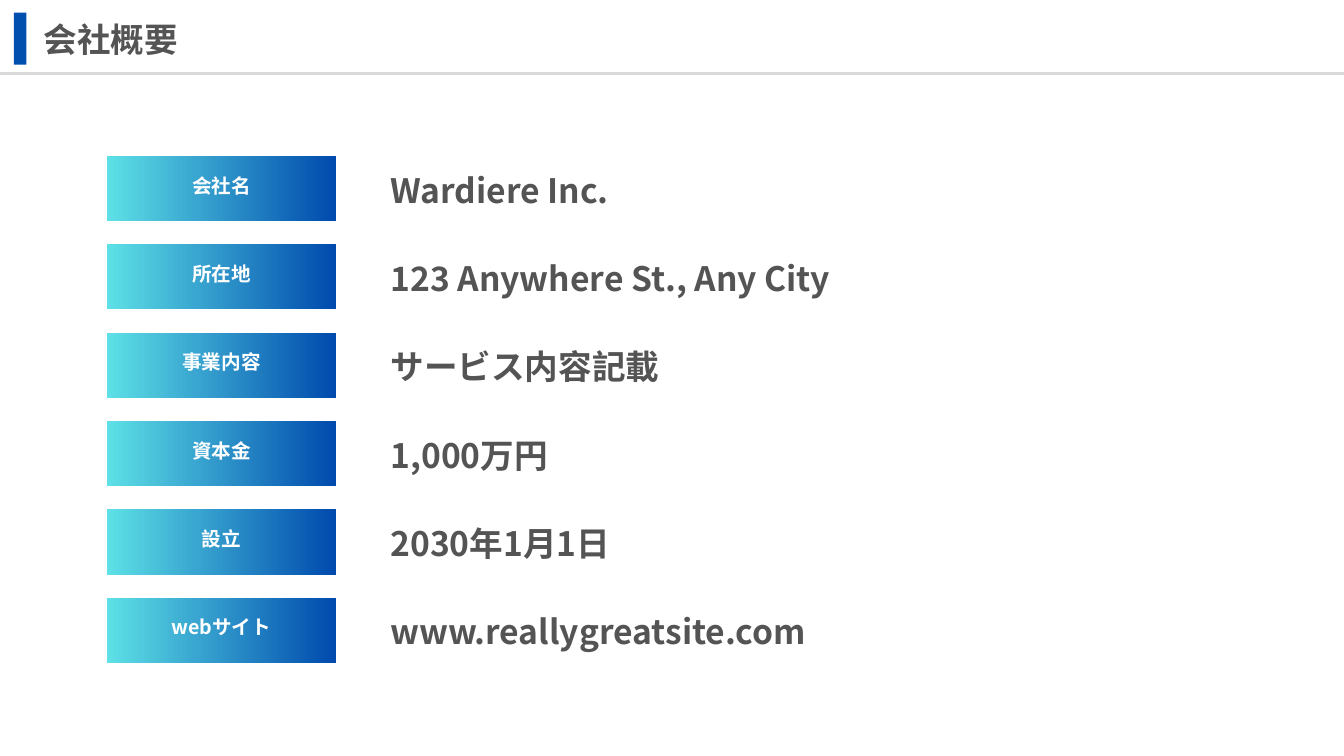
from dataclasses import dataclass

import pptx
import pptx.dml.color
import pptx.enum.shapes
import pptx.enum.text
import pptx.oxml
import pptx.oxml.ns
import pptx.util
from pptx.util import Cm

RGBColor = pptx.dml.color.RGBColor
PP_ALIGN = pptx.enum.text.PP_ALIGN
MSO_ANCHOR = pptx.enum.text.MSO_ANCHOR

BLUE = RGBColor(0x00, 0x4E, 0xAE)
DEEP_BLUE = RGBColor(0x00, 0x4A, 0xAD)
CYAN = RGBColor(0x5D, 0xE0, 0xE6)
GREY = RGBColor(0x54, 0x54, 0x54)
RULE_GREY = RGBColor(0xD9, 0xD9, 0xD9)
WHITE = RGBColor(0xFF, 0xFF, 0xFF)

FONT = "Noto Sans CJK JP"
LINE_RATIO = 1.4
SLIDE_W = 50.8
ROW_TOP, ROW_PITCH = 5.89, 3.34
LABEL_LEFT, LABEL_W, LABEL_H = 4.04, 8.66, 2.47
LABEL_RISE = 0.4
VALUE_LEFT, VALUE_DROP, VALUE_W = 14.76, 0.26, 32
HEADING_H = 1.73


@dataclass(frozen=True)
class Box:
    left: float
    top: float
    width: float
    height: float

    def emu(self) -> tuple:
        return Cm(self.left), Cm(self.top), Cm(self.width), Cm(self.height)


@dataclass(frozen=True)
class TextStyle:
    size: int
    color: RGBColor
    align: PP_ALIGN
    anchor: MSO_ANCHOR
    inset: float


@dataclass(frozen=True)
class Row:
    label: str
    value: str


HEADING = TextStyle(36, GREY, PP_ALIGN.LEFT, MSO_ANCHOR.TOP, 0)
LABEL = TextStyle(21, WHITE, PP_ALIGN.CENTER, MSO_ANCHOR.MIDDLE, 0.15)

ROWS = [
    Row("会社名", "Wardiere Inc."),
    Row("所在地", "123 Anywhere St., Any City"),
    Row("事業内容", "サービス内容記載"),
    Row("資本金", "1,000万円"),
    Row("設立", "2030年1月1日"),
    Row("webサイト", "www.reallygreatsite.com"),
]


def add_text(slide, box: Box, text: str, style: TextStyle) -> None:
    tf = slide.shapes.add_textbox(*box.emu()).text_frame
    tf.word_wrap = True
    tf.vertical_anchor = style.anchor
    tf.margin_left = tf.margin_right = Cm(style.inset)
    tf.margin_top = tf.margin_bottom = Cm(style.inset)
    tf.text = text
    p = tf.paragraphs[0]
    p.alignment = style.align
    p.line_spacing = pptx.util.Pt(style.size * LINE_RATIO)
    r = p.runs[0]
    r.font.name = FONT
    r.font.size = pptx.util.Pt(style.size)
    r.font.bold = True
    r.font.color.rgb = style.color
    ea = pptx.oxml.ns.qn("a:ea")
    r.font._element.get_or_add_latin().addnext(
        r.font._element.makeelement(ea, {"typeface": FONT})
    )


def add_bar(slide, box: Box, colors: list[RGBColor]) -> None:
    rectangle = pptx.enum.shapes.MSO_SHAPE.RECTANGLE
    sp = slide.shapes.add_shape(rectangle, *box.emu())
    sp.shadow.inherit = False
    sp.line.fill.background()
    if len(colors) == 1:
        sp.fill.solid()
        sp.fill.fore_color.rgb = colors[0]
        return
    sp.fill.gradient()
    sp.fill.gradient_angle = 0
    for stop, color in zip(sp.fill.gradient_stops, colors):
        stop.color.rgb = color


def add_rule(slide, top: float) -> None:
    straight = pptx.enum.shapes.MSO_CONNECTOR.STRAIGHT
    line = slide.shapes.add_connector(straight, 0, Cm(top), Cm(SLIDE_W), Cm(top))
    line.line.color.rgb = RULE_GREY
    line.line.width = pptx.util.Pt(3)
    sp_pr = line._element.spPr
    sp_pr.append(sp_pr.makeelement(pptx.oxml.ns.qn("a:effectLst"), {}))


def add_row(slide, row: Row, top: float) -> None:
    add_bar(slide, Box(LABEL_LEFT, top, LABEL_W, LABEL_H), [CYAN, DEEP_BLUE])
    label_box = Box(LABEL_LEFT, top - LABEL_RISE, LABEL_W, LABEL_H + LABEL_RISE)
    add_text(slide, label_box, row.label, LABEL)
    value_box = Box(VALUE_LEFT, top + VALUE_DROP, VALUE_W, HEADING_H)
    add_text(slide, value_box, row.value, HEADING)


def main() -> None:
    """Build the company overview slide."""
    prs = pptx.Presentation()
    prs.slide_width = Cm(SLIDE_W)
    prs.slide_height = Cm(SLIDE_W * 9 / 16)
    slide = prs.slides.add_slide(prs.slide_layouts[6])

    add_bar(slide, Box(0.53, 0.48, 0.47, 1.96), [BLUE])
    add_rule(slide, 2.79)
    add_text(slide, Box(1.65, 0.48, 46.3, HEADING_H), "会社概要", HEADING)
    for i, row in enumerate(ROWS):
        add_row(slide, row, ROW_TOP + i * ROW_PITCH)

    prs.save("out.pptx")


if __name__ == "__main__":
    main()
